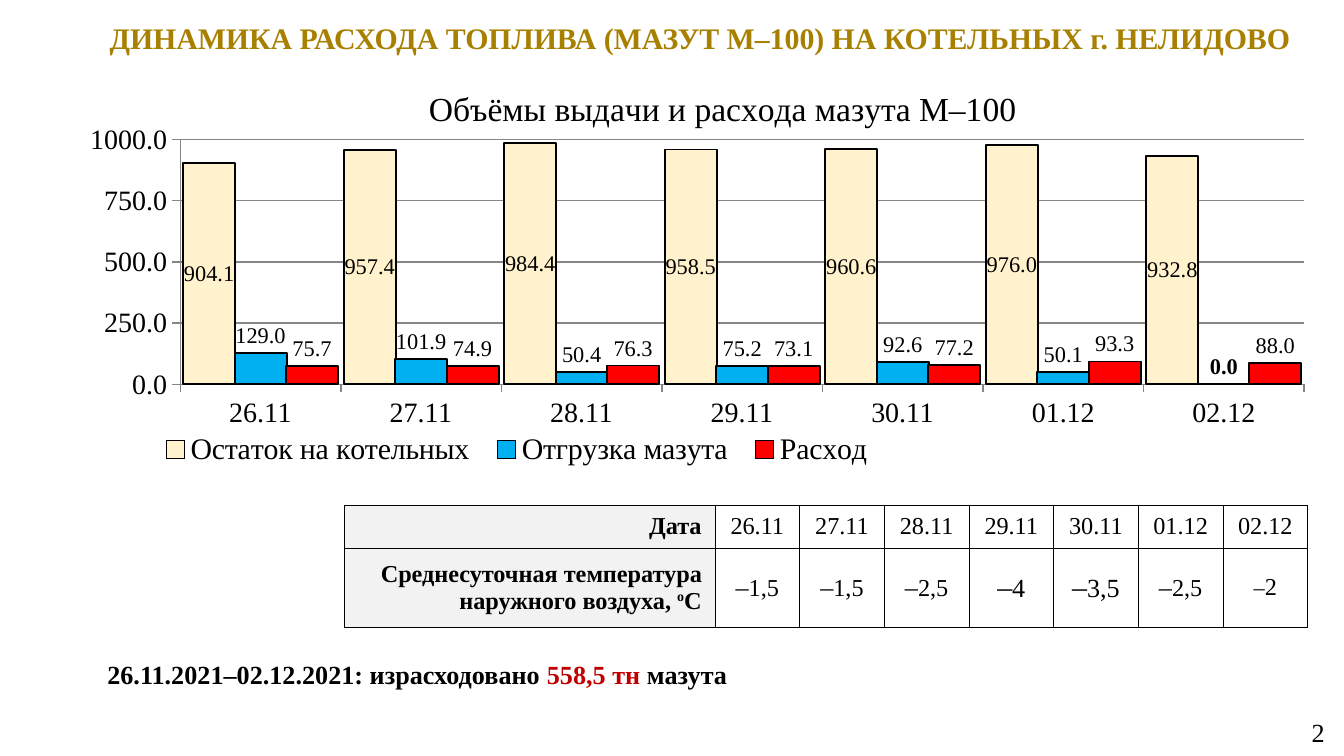
from dataclasses import dataclass

from lxml import etree
from pptx import Presentation
from pptx.chart.data import CategoryChartData
from pptx.dml.color import RGBColor
from pptx.enum.chart import XL_CHART_TYPE, XL_LABEL_POSITION, XL_LEGEND_POSITION, XL_TICK_MARK
from pptx.enum.text import MSO_ANCHOR, PP_ALIGN
from pptx.oxml import parse_xml
from pptx.oxml.ns import nsdecls, qn
from pptx.util import Inches, Pt

LEFT, CENTER, RIGHT = PP_ALIGN.LEFT, PP_ALIGN.CENTER, PP_ALIGN.RIGHT
TOP, MIDDLE = MSO_ANCHOR.TOP, MSO_ANCHOR.MIDDLE
LABEL_CENTER, LABEL_OUTSIDE = XL_LABEL_POSITION.CENTER, XL_LABEL_POSITION.OUTSIDE_END
COLUMNS, LEGEND_BOTTOM = XL_CHART_TYPE.COLUMN_CLUSTERED, XL_LEGEND_POSITION.BOTTOM
TICK_OUTSIDE, TICK_NONE = XL_TICK_MARK.OUTSIDE, XL_TICK_MARK.NONE
FONT = "Times New Roman"
NUMBER_FORMAT = "0.0"
COLORS = {
    "black": "000000", "gold": "A88000", "dark_red": "C00000", "header": "F2F2F2",
    "grid": "868686", "cream": "FFF2CC", "blue": "00B0F0", "red": "FF0000",
}
DATES = ["26.11", "27.11", "28.11", "29.11", "30.11", "01.12", "02.12"]


@dataclass
class Run:
    text: str
    size: float
    bold: bool = False
    color: str = "black"
    superscript: bool = False


@dataclass
class FuelSeries:
    name: str
    values: list[float]
    color: str
    label_position: XL_LABEL_POSITION


@dataclass
class Temperature:
    degrees: str
    minus_size: float
    size: float


FUEL = [
    FuelSeries("Остаток на котельных", [904.1, 957.4, 984.4, 958.5, 960.6, 976.0, 932.8],
               "cream", LABEL_CENTER),
    FuelSeries("Отгрузка мазута", [129.0, 101.9, 50.4, 75.2, 92.6, 50.1, 0.0],
               "blue", LABEL_OUTSIDE),
    FuelSeries("Расход", [75.7, 74.9, 76.3, 73.1, 77.2, 93.3, 88.0],
               "red", LABEL_OUTSIDE),
]
TEMPERATURES = [
    Temperature("1,5", 14, 13), Temperature("1,5", 14, 13), Temperature("2,5", 14, 13),
    Temperature("4", 16, 14), Temperature("3,5", 16, 14), Temperature("2,5", 14, 13),
    Temperature("2", 12, 13),
]


def rgb(name: str) -> RGBColor:
    return RGBColor.from_string(COLORS[name])


def style_font(font, size: float, bold: bool = False, color: str = "black") -> None:
    font.name, font.size, font.bold = FONT, Pt(size), bold
    font.color.rgb = rgb(color)


def write(frame, lines: list[list[Run]], align: PP_ALIGN) -> None:
    for index, line in enumerate(lines):
        paragraph = frame.paragraphs[0] if index == 0 else frame.add_paragraph()
        paragraph.alignment = align
        for part in line:
            run = paragraph.add_run()
            run.text = part.text
            style_font(run.font, part.size, part.bold, part.color)
            if part.superscript:
                run.font._element.set("baseline", "30000")


def add_text(slide, box: tuple, line: list[Run], align: PP_ALIGN, anchor: MSO_ANCHOR) -> None:
    frame = slide.shapes.add_textbox(*map(Inches, box)).text_frame
    frame.word_wrap = True
    frame.vertical_anchor = anchor
    write(frame, [line], align)


def place(part, index: int, inner: bool = False, **position: float) -> None:
    """Give a chart part a manual layout, as fractions of the chart."""
    for old in part.findall(qn("c:layout")):
        part.remove(old)
    layout = etree.Element(qn("c:layout"))
    manual = etree.SubElement(layout, qn("c:manualLayout"))
    settings = {"layoutTarget": "inner"} if inner else {}
    settings |= {"xMode": "edge", "yMode": "edge"} | position
    for tag, value in settings.items():
        etree.SubElement(manual, qn(f"c:{tag}")).set("val", str(value))
    part.insert(index, layout)


def style_axis(axis) -> None:
    axis.major_tick_mark, axis.minor_tick_mark = TICK_OUTSIDE, TICK_NONE
    style_font(axis.tick_labels.font, 15)
    axis.format.line.color.rgb = rgb("grid")


def style_series(series, fuel: FuelSeries) -> None:
    series.invert_if_negative = False
    series.format.fill.solid()
    series.format.fill.fore_color.rgb = rgb(fuel.color)
    series.format.line.color.rgb = rgb("black")
    series.format.line.width = Pt(1)
    labels = series.data_labels
    labels.show_value = True
    labels.position = fuel.label_position
    labels.number_format, labels.number_format_is_linked = NUMBER_FORMAT, False
    style_font(labels.font, 12)
    # A day without shipments gets a bold label
    for index, value in enumerate(fuel.values):
        if value == 0:
            label = series.points[index].data_label
            style_font(label.font, 12, True)
            label.position = fuel.label_position
            label_format = etree.Element(qn("c:numFmt"), formatCode=NUMBER_FORMAT, sourceLinked="0")
            labels._element.find(qn("c:dLbl")).insert(1, label_format)


def add_fuel_chart(slide) -> None:
    data = CategoryChartData(number_format=NUMBER_FORMAT)
    data.categories = DATES
    for fuel in FUEL:
        data.add_series(fuel.name, fuel.values)
    chart = slide.shapes.add_chart(COLUMNS, *map(Inches, (0.51, 0.61, 9.25, 2.95)), data).chart
    style_font(chart.font, 16)

    # Title and legend
    title = chart.chart_title
    write(title.text_frame, [[Run("Объёмы выдачи и расхода мазута М–100", 18)]], CENTER)
    title_element = title._element
    overlay = title_element.find(qn("c:overlay"))
    if overlay is None:
        overlay = etree.SubElement(title_element, qn("c:overlay"))
    overlay.set("val", "1")
    place(title_element, 1, x=0.285, y=-0.005)
    chart.has_legend = True
    legend = chart.legend
    legend.position = LEGEND_BOTTOM
    legend.include_in_layout = False
    style_font(legend.font, 16)
    place(legend._element, 1, x=0.064, y=0.867, w=0.593, h=0.12)

    # Axes and columns
    style_axis(chart.category_axis)
    values = chart.value_axis
    style_axis(values)
    values.minimum_scale, values.maximum_scale, values.major_unit = 0, 1000, 250
    values.tick_labels.number_format = NUMBER_FORMAT
    values.tick_labels.number_format_is_linked = False
    values.major_gridlines.format.line.color.rgb = rgb("grid")
    plot = chart.plots[0]
    plot.gap_width, plot.overlap, plot.vary_by_categories = 11, 1, False
    for series, fuel in zip(plot.series, FUEL):
        style_series(series, fuel)
    plot_area = chart._chartSpace.find(f".//{qn('c:plotArea')}")
    place(plot_area, 0, inner=True, x=0.09, y=0.145, w=0.904, h=0.618)


def fill_cell(cell, lines: list[list[Run]], header: bool) -> None:
    cell.vertical_anchor = MIDDLE
    write(cell.text_frame, lines, RIGHT if header else CENTER)
    for side in "LRTB":
        cell._tc.get_or_add_tcPr().append(parse_xml(
            f'<a:ln{side} {nsdecls("a")} w="6350"><a:solidFill>'
            f'<a:srgbClr val="{COLORS["black"]}"/></a:solidFill></a:ln{side}>'))
    if header:
        cell.fill.solid()
        cell.fill.fore_color.rgb = rgb("header")
    else:
        cell.fill.background()


def add_temperature_table(slide) -> None:
    table = slide.shapes.add_table(
        2, len(DATES) + 1, *map(Inches, (2.56, 3.76, 7.17, 0.91))).table
    table.first_row = table.horz_banding = False
    for column, width in zip(table.columns, [2.76] + [0.63] * len(DATES)):
        column.width = Inches(width)
    for row, height in zip(table.rows, (0.31, 0.59)):
        row.height = Inches(height)
    fill_cell(table.cell(0, 0), [[Run("Дата", 13, True)]], True)
    fill_cell(table.cell(1, 0), [
        [Run("Среднесуточная температура", 13, True)],
        [Run("наружного воздуха, ", 13, True), Run("о", 13, True, superscript=True),
         Run("С", 13, True)],
    ], True)
    for column, (date, day) in enumerate(zip(DATES, TEMPERATURES), start=1):
        fill_cell(table.cell(0, column), [[Run(date, 13)]], False)
        fill_cell(table.cell(1, column),
                  [[Run("–", day.minus_size), Run(day.degrees, day.size)]], False)


def main() -> None:
    deck = Presentation()
    # Widescreen, 16 to 9
    deck.slide_width = Inches(10)
    deck.slide_height = deck.slide_width * 9 // 16
    slide = deck.slides.add_slide(deck.slide_layouts[6])
    add_text(slide, (0.7, 0.1, 9.02, 0.37),
             [Run("ДИНАМИКА РАСХОДА ТОПЛИВА (МАЗУТ М–100) НА КОТЕЛЬНЫХ г. НЕЛИДОВО",
                  16, True, "gold")], CENTER, TOP)
    add_fuel_chart(slide)
    add_temperature_table(slide)
    # Weekly total and page number
    add_text(slide, (0.7, 4.86, 5.12, 0.31),
             [Run("26.11.2021–02.12.2021: израсходовано ", 14, True),
              Run("558,5 тн", 14, True, "dark_red"), Run(" мазута", 14, True)], LEFT, MIDDLE)
    add_text(slide, (9.66, 5.3, 0.28, 0.3), [Run("2", 14)], RIGHT, MIDDLE)
    deck.save("out.pptx")


if __name__ == "__main__":
    main()
